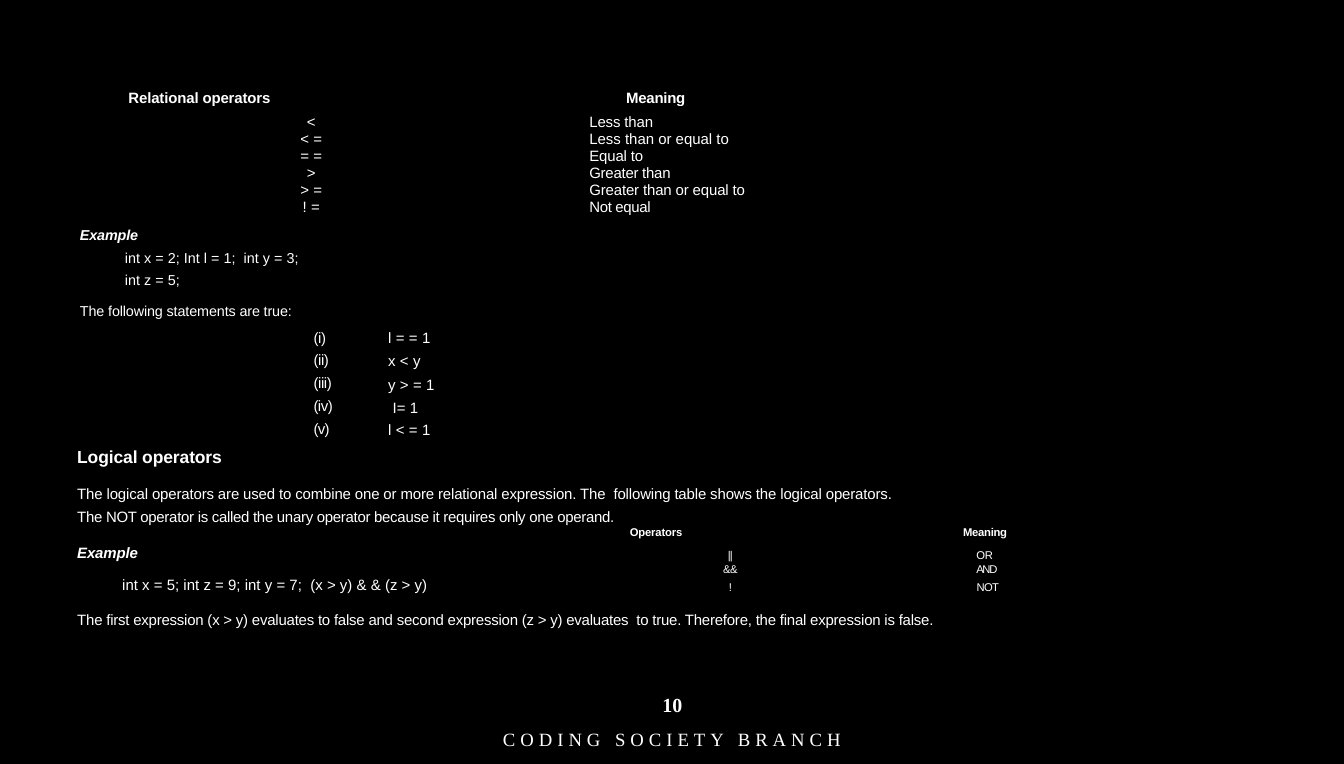
from dataclasses import dataclass

from lxml.etree import SubElement
from pptx import Presentation
from pptx.dml.color import RGBColor
from pptx.enum.text import MSO_ANCHOR, MSO_AUTO_SIZE, PP_ALIGN
from pptx.oxml.ns import qn
from pptx.util import Inches, Pt


@dataclass(frozen=True)
class Theme:
    background: RGBColor = RGBColor(0, 0, 0)
    text: RGBColor = RGBColor(255, 255, 255)
    sans: str = "Arial"
    serif: str = "Times New Roman"
    heading: float = 14
    body: float = 12
    example: float = 11.5
    small: float = 9
    page: float = 16
    footer: float = 15


theme = Theme()


def write(tf, lines, size, font=theme.sans):
    """Fill tf with (text, letter spacing in points, format values) lines."""
    for i, (text, spacing, fmt) in enumerate(lines):
        p = tf.paragraphs[0] if i == 0 else tf.add_paragraph()
        pPr = p._p.get_or_add_pPr()
        pPr.set("marL", str(Inches(fmt.get("indent", 0))))
        pPr.set("indent", "0")
        values = {"alignment": fmt.get("align", PP_ALIGN.LEFT),
                  "space_before": Pt(fmt.get("before", 0)),
                  "line_spacing": fmt.get("line", 1.0)}
        for name, value in values.items():
            setattr(p, name, value)
        r = p.add_run()
        r.text = text
        r.font.color.rgb = theme.text
        values = {"name": font, "size": Pt(fmt.get("size", size)),
                  "bold": fmt.get("bold", False), "italic": fmt.get("italic", False)}
        for name, value in values.items():
            setattr(r.font, name, value)
        r._r.get_or_add_rPr().set("spc", str(round(spacing * 100)))


def add_grid(box, widths, heights, rows, size):
    """Add a table whose rows are (top margin, left line, right line)."""
    table = s.shapes.add_table(len(rows), 2, *map(Inches, box)).table
    for column, width in zip(table.columns, widths):
        column.width = Inches(width)
    for row, height, (top, *lines) in zip(table.rows, heights, rows):
        row.height = Inches(height)
        for cell, line in zip(row.cells, lines):
            for side in ("left", "right", "bottom"):
                setattr(cell, f"margin_{side}", 0)
            cell.margin_top = Inches(top)
            tcPr = cell._tc.get_or_add_tcPr()
            for side in "LRTB":
                border = SubElement(tcPr, qn(f"a:ln{side}"), w=str(Pt(1)))
                fill = SubElement(border, qn("a:solidFill"))
                SubElement(fill, qn("a:srgbClr"), val=str(theme.background))
            cell.fill.background()
            write(cell.text_frame, [line], size)


prs = Presentation()
prs.slide_width, prs.slide_height = Inches(14.96), Inches(8.5)
s = prs.slides.add_slide(prs.slide_layouts[6])
s.background.fill.solid()
s.background.fill.fore_color.rgb = theme.background

center = PP_ALIGN.CENTER
bold = {"bold": True}
example = {"bold": True, "italic": True, "indent": 0.01}

# Relational operators
header = bold | {"line": Pt(13.2)}
relational = [(0, ("Relational operators", -0.1, header | {"indent": 0.57}),
               ("Meaning", -0.2, header | {"indent": 0.9}))]
for operator, meaning, spacing, top, fmt in [
    ("<", "Less than", -0.1, 0.08, {"before": 7.8}),
    ("< =", "Less than or equal to", 0, 0, {}),
    ("= =", "Equal to", -0.1, 0, {"line": Pt(13.7)}),
    (">", "Greater than", -0.2, 0, {"line": Pt(13.6)}),
    ("> =", "Greater than or equal to", -0.1, 0, {"before": 0.1}),
    ("! =", "Not equal", -0.25, 0, {"before": 0.3}),
]:
    relational.append((top, (operator, 0.1, fmt | {"align": center}),
                       (meaning, spacing, fmt | {"indent": 0.49})))
add_grid((0.86, 1, 10.82, 1.46), (5.21, 5.61),
         (0.18, 0.27, 0.19, 0.18, 0.18, 0.19, 0.19), relational, theme.body)

# Logical operators
logical = [(0.03, ("Operators", -0.1, bold | {"indent": 0.2, "before": 2.6}),
            ("Meaning", -0.2, bold | {"indent": 0.33, "before": 2.6, "align": center}))]
for operator, tight, meaning, spacing, indent, top, fmt in [
    ("| |", -1.6, "OR", -0.1, 0.32, 0, {"line": Pt(13.3)}),
    ("&&", -0.5, "AND", -1, 0.37, 0.01, {"before": 0.9}),
    ("!", 0, "NOT", -0.6, 0.39, 0.01, {"before": 0.9}),
]:
    fmt["align"] = center
    logical.append((top, (operator, tight, fmt), (meaning, spacing, fmt | {"indent": indent})))
add_grid((6.81, 5.83, 5.33, 0.83), (2.64, 2.7), (0.24, 0.19, 0.2, 0.21), logical, theme.small)

# Text blocks: box, top margin, size, lines
flush, code = {"indent": 0.01}, {"indent": 0.51}
numerals = [(f"({numeral})", spacing, flush | {"before": before})
            for numeral, spacing, before in [("i", -0.3, 4.8), ("ii", -0.3, 3.9), ("iii", -0.3, 3.8),
                                             ("iv", -0.4, 3.7), ("v", -0.5, 3.9)]]
blocks = [
    ((0.88, 2.45, 7.79, 1.13), 0.07, theme.example, [
        ("Example", -0.1, example | {"before": 5.2}),
        ("int x = 2; Int l = 1;  int y = 3;", 0.03, code | {"line": 1.27, "before": 0.5}),
        ("int z = 5;", 0.03, code | {"before": 3.8}),
        ("The following statements are true:", -0.1, flush | {"before": 11}),
    ]),
    ((3.48, 3.58, 0.41, 1.3), 0.07, theme.body, numerals),
    ((4.31, 3.59, 0.93, 1.3), 0.07, theme.body, [
        ("l = = 1", 0.1, flush | {"before": 4.8}),
        ("x < y", 0.1, flush | {"line": 1.28}),
        ("y > = 1", 0.1, flush | {"line": Pt(17.6), "before": 1.1}),
        ("I= 1", 0.1, {"indent": 0.06, "line": Pt(17.6), "before": 1.1}),
        ("l < = 1", 0.1, flush | {"before": 3.2}),
    ]),
    ((0.85, 4.94, 9.73, 0.66), 0.02, theme.body, [
        ("Logical operators", -0.1, flush | bold | {"size": theme.heading, "before": 1.1}),
        ("The logical operators are used to combine one or more relational expression. "
         "The  following table shows the logical operators.", -0.1,
         flush | {"line": 1.03, "before": 14}),
    ]),
    ((0.85, 5.63, 9.72, 1.39), 0.02, theme.body, [
        ("The NOT operator is called the unary operator because it requires only one operand.",
         -0.23, flush | {"before": 1.1}),
        ("Example", -0.1, example | {"before": 14}),
        ("int x = 5; int z = 9; int y = 7;  (x > y) & & (z > y)", 0.03,
         code | {"line": 1.64, "before": 2.1}),
        ("The first expression (x > y) evaluates to false and second expression (z > y) evaluates  "
         "to true. Therefore, the final expression is false.", -0.18,
         flush | {"line": 1.01, "before": 14}),
    ]),
]
for box, top, size, lines in blocks:
    tf = s.shapes.add_textbox(*map(Inches, box)).text_frame
    values = {"word_wrap": True, "auto_size": MSO_AUTO_SIZE.SHAPE_TO_FIT_TEXT, "margin_left": 0,
              "margin_right": 0, "margin_bottom": 0, "margin_top": Inches(top)}
    for name, value in values.items():
        setattr(tf, name, value)
    write(tf, lines, size)

# Page number and footer
for box, text, spacing, size, fmt in [
    ((6.61, 7.65, 1.75, 0.38), "10", 0, theme.page, bold),
    ((2.37, 8.04, 10.22, 0.36), "CODING SOCIETY BRANCH", 4, theme.footer, {}),
]:
    tf = s.shapes.add_textbox(*map(Inches, box)).text_frame
    tf.word_wrap = True
    tf.vertical_anchor = MSO_ANCHOR.MIDDLE
    for side in ("left", "top", "right", "bottom"):
        setattr(tf, f"margin_{side}", 0)
    write(tf, [(text, spacing, fmt | {"align": center})], size, theme.serif)

prs.save("out.pptx")
